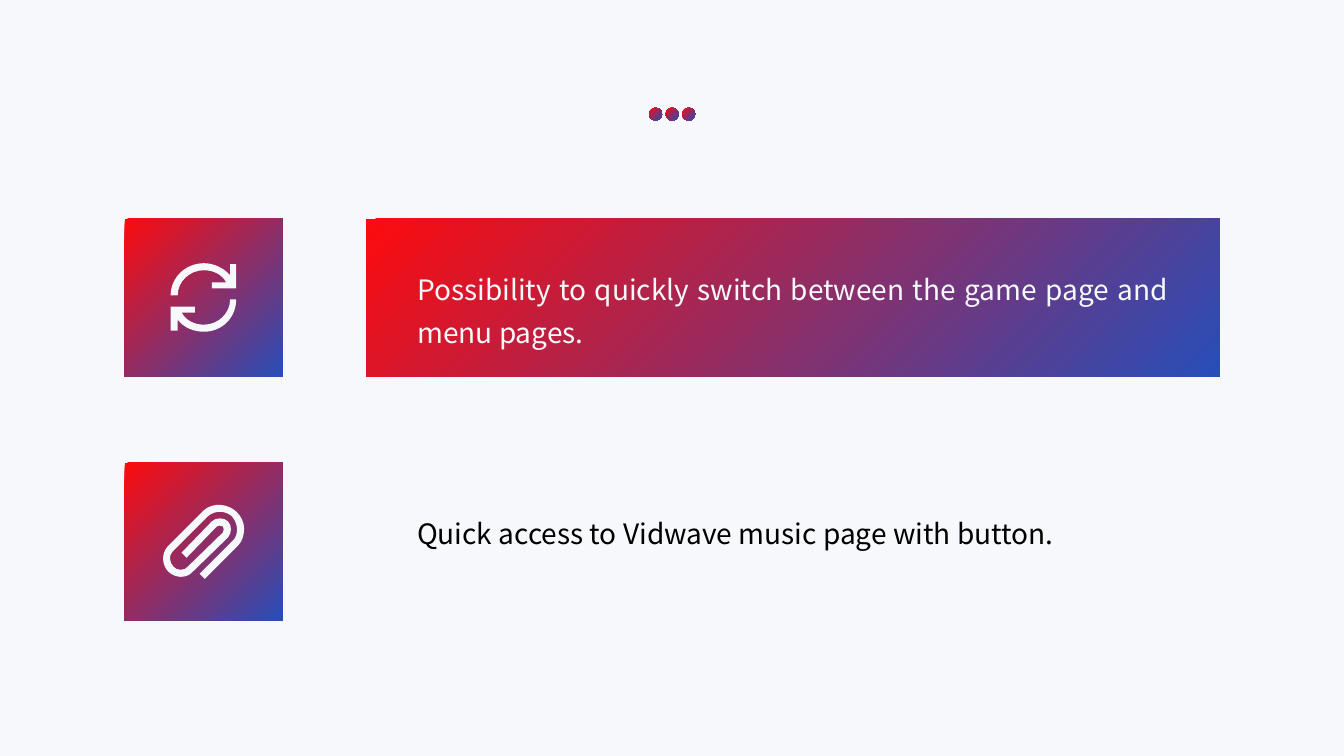
from dataclasses import dataclass

from lxml import etree
from pptx import Presentation
from pptx.dml.color import RGBColor
from pptx.enum.shapes import MSO_SHAPE
from pptx.enum.text import MSO_AUTO_SIZE, PP_ALIGN
from pptx.oxml.ns import qn
from pptx.util import Pt

RECT, OVAL = MSO_SHAPE.RECTANGLE, MSO_SHAPE.OVAL
JUSTIFY = PP_ALIGN.JUSTIFY
GROW = MSO_AUTO_SIZE.SHAPE_TO_FIT_TEXT
FONT = "Noto Sans CJK SC"
PALE, BLACK, RED, BLUE = "F6F8FB", "000000", "FD0B0D", "274EB9"
ICON_UNIT = Pt(0.72)
PATH_TAGS = {"M": "a:moveTo", "L": "a:lnTo", "C": "a:cubicBezTo", "Z": "a:close"}
TILE_LEFT, TILE_SIZE = 89, 112.9
BAND_LEFT, BAND_WIDTH = 261.5, 609.8
TEXT_LEFT, TEXT_WIDTH = 290.9, 550.8
DOT_LEFT, DOT_TOP, DOT_SIZE, DOT_PITCH = 463.6, 76.9, 9.3, 11.85


@dataclass
class Icon:
    left: float
    top: float
    columns: int
    rows: int
    outline: str


@dataclass
class Feature:
    top: float
    text: str
    text_top: float
    text_height: float
    color: str
    icon: Icon
    banded: bool


REFRESH = Icon(
    121.9, 188, 65, 68,
    "M 33 61 C 24 61 15 57 11 49 L 24 49 L 24 43 L 0 43 L 0 67 L 7 67 L 7 56 "
    "C 13 64 23 68 33 68 C 51 68 65 54 65 36 L 59 36 C 59 50 47 61 33 61 Z "
    "M 59 1 L 59 12 C 53 5 43 0 33 0 C 15 0 0 14 0 32 L 7 32 "
    "C 7 18 19 7 33 7 C 42 7 51 11 55 19 L 41 19 L 41 25 L 65 25 L 65 1 Z",
)
PAPERCLIP = Icon(
    116.8, 360.2, 80, 74,
    "M 80 24 C 80 18 77 12 73 8 C 64 -1 49 -2 40 6 L 4 42 C -2 49 -2 60 5 67 "
    "C 8 70 13 72 17 72 C 21 72 25 71 28 68 L 64 33 C 68 28 68 21 64 17 "
    "C 62 15 59 14 56 14 C 53 14 50 15 48 17 L 18 48 L 23 53 L 53 22 "
    "C 54 21 57 21 59 22 C 60 24 60 26 59 28 L 24 62 C 23 64 20 65 17 65 "
    "C 14 65 12 64 10 62 C 6 58 5 51 9 47 L 44 12 C 51 6 61 6 68 12 "
    "C 71 16 73 20 73 25 C 73 29 72 33 69 36 L 36 69 L 41 74 L 74 41 "
    "C 78 37 80 31 80 24 Z",
)
FEATURES = [
    Feature(156.1, "Possibility to quickly switch between the game page and menu pages.",
            183.6, 69.8, PALE, REFRESH, True),
    Feature(330.4, "Quick access to Vidwave music page with button.",
            358.2, 38.9, BLACK, PAPERCLIP, False),
]


def rgb(color: str) -> RGBColor:
    return RGBColor.from_string(color)


def add_gradient_shape(s, kind, left: float, top: float, width: float, height: float) -> None:
    sp = s.shapes.add_shape(kind, Pt(left), Pt(top), Pt(width), Pt(height))
    sp.shadow.inherit = False
    sp.line.fill.background()
    sp.fill.gradient()
    sp.fill.gradient_angle = 315
    for stop, color, position in zip(sp.fill.gradient_stops, (RED, BLUE), (0, 1)):
        stop.color.rgb = rgb(color)
        stop.position = position


def draw_outline(path, outline: str) -> None:
    for child in list(path):
        path.remove(child)
    tokens = iter(outline.split())
    for token in tokens:
        if token in PATH_TAGS:
            segment = etree.SubElement(path, qn(PATH_TAGS[token]))
        else:
            etree.SubElement(segment, qn("a:pt"), x=token, y=next(tokens))


def add_icon(s, icon: Icon) -> None:
    builder = s.shapes.build_freeform(0, 0, scale=ICON_UNIT)
    builder.add_line_segments([(icon.columns, 0), (icon.columns, icon.rows), (0, icon.rows)])
    sp = builder.convert_to_shape(Pt(icon.left), Pt(icon.top))
    draw_outline(next(sp.element.iter(qn("a:path"))), icon.outline)
    sp.shadow.inherit = False
    sp.fill.solid()
    sp.fill.fore_color.rgb = rgb(PALE)
    sp.line.fill.background()


def add_text(s, feature: Feature) -> None:
    sp = s.shapes.add_textbox(Pt(TEXT_LEFT), Pt(feature.text_top),
                              Pt(TEXT_WIDTH), Pt(feature.text_height))
    tf = sp.text_frame
    tf.word_wrap = True
    tf.auto_size = GROW
    p = tf.paragraphs[0]
    p.alignment = JUSTIFY
    p.line_spacing = 1.3
    r = p.add_run()
    r.text = feature.text
    r.font.name = FONT
    r.font.size = Pt(20)
    r.font.color.rgb = rgb(feature.color)


def main() -> None:
    prs = Presentation()
    prs.slide_width, prs.slide_height = Pt(960), Pt(540)
    s = prs.slides.add_slide(prs.slide_layouts[6])
    s.background.fill.solid()
    s.background.fill.fore_color.rgb = rgb(PALE)

    for n in range(3):
        add_gradient_shape(s, OVAL, DOT_LEFT + n * DOT_PITCH, DOT_TOP, DOT_SIZE, DOT_SIZE)
    for feature in FEATURES:
        add_gradient_shape(s, RECT, TILE_LEFT, feature.top, TILE_SIZE, TILE_SIZE)
        if feature.banded:
            add_gradient_shape(s, RECT, BAND_LEFT, feature.top, BAND_WIDTH, TILE_SIZE)
        add_icon(s, feature.icon)
        add_text(s, feature)
    prs.save("out.pptx")


if __name__ == "__main__":
    main()
